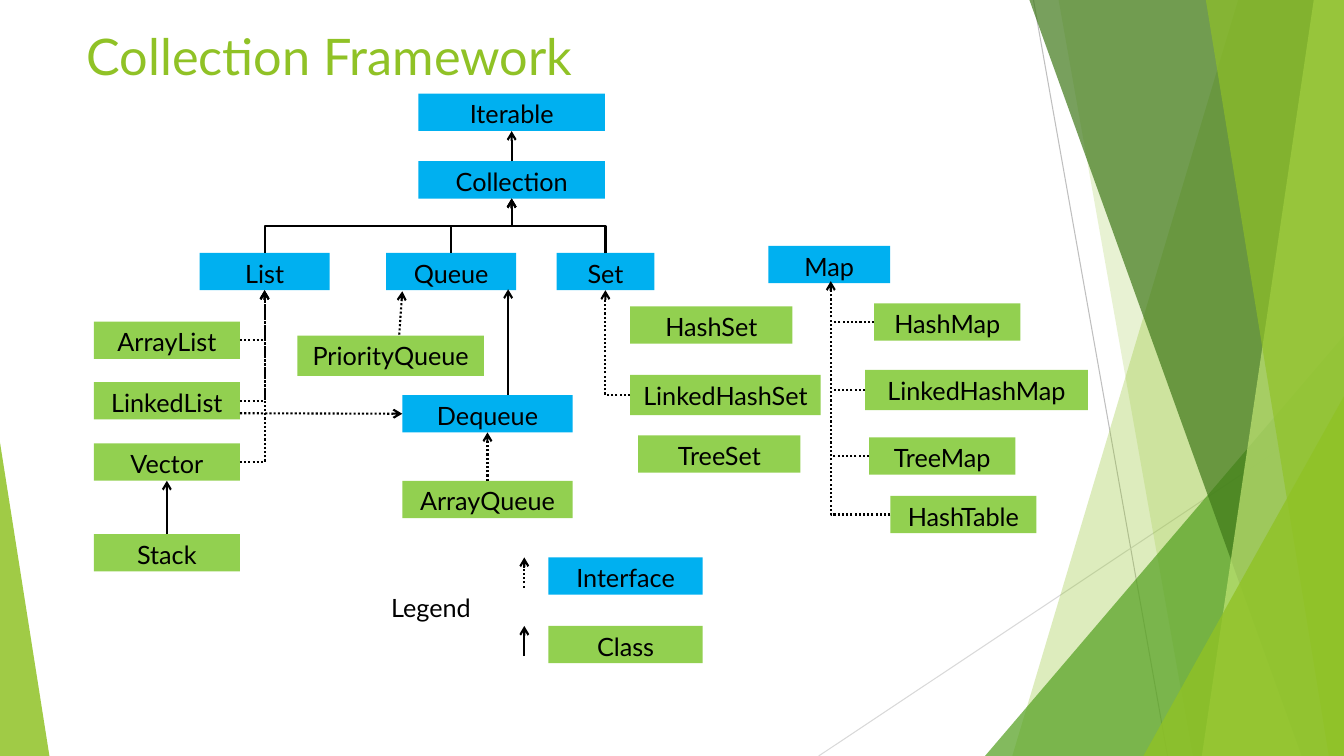
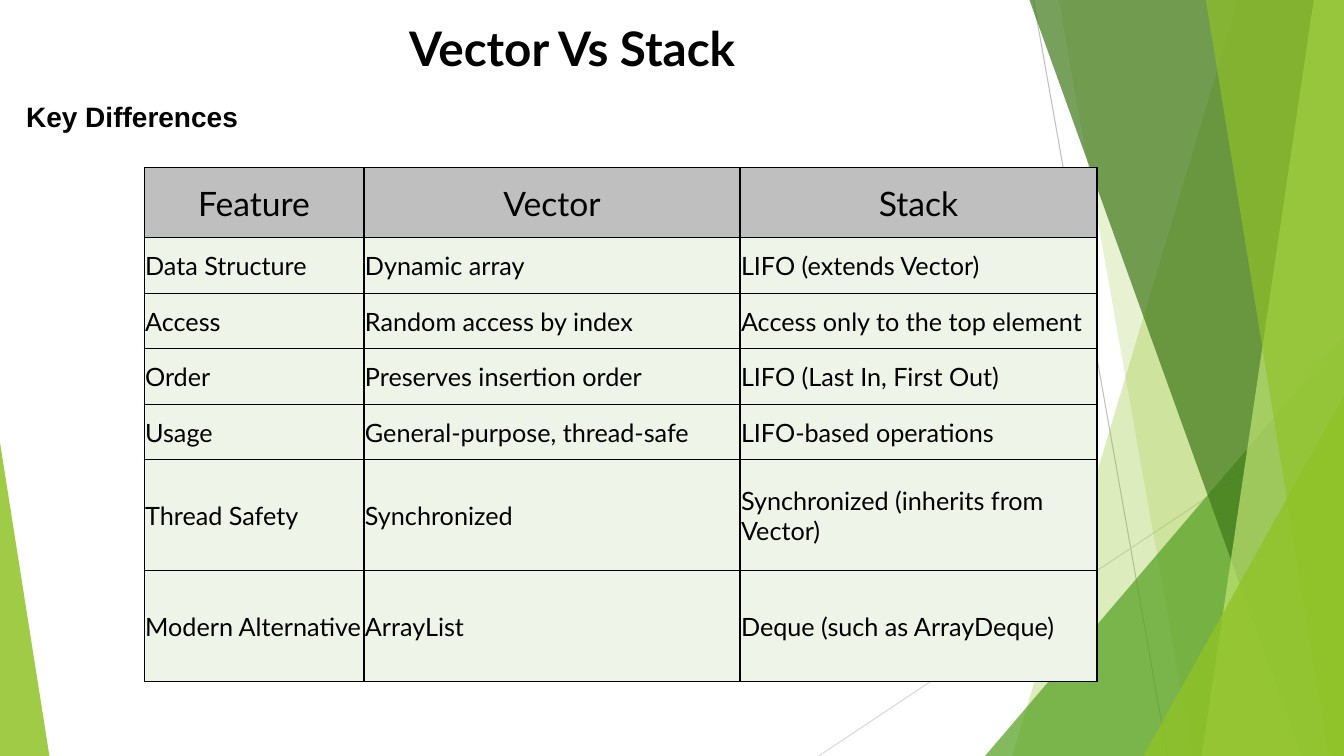
import pptx
import pptx.dml.color
import pptx.enum.dml
import pptx.enum.shapes
import pptx.enum.text
import pptx.oxml.ns
import pptx.util
from lxml import etree

Inches = pptx.util.Inches
RGBColor = pptx.dml.color.RGBColor
Align = pptx.enum.text.PP_ALIGN
Anchor = pptx.enum.text.MSO_ANCHOR
Preset = pptx.enum.shapes.MSO_SHAPE
Connector = pptx.enum.shapes.MSO_CONNECTOR
qn = pptx.oxml.ns.qn

SLIDE_WIDTH, SLIDE_HEIGHT = 13.33, 7.5
FONT = "Lato"
BLACK = RGBColor(0x00, 0x00, 0x00)
LIME = RGBColor(0x90, 0xC2, 0x26)
PALE_LIME = RGBColor(0xC0, 0xE4, 0x74)
LEAF = RGBColor(0x54, 0xA0, 0x21)
FOREST = RGBColor(0x3F, 0x78, 0x19)
GRAY = RGBColor(0xBF, 0xBF, 0xBF)
LIGHT_GRAY = RGBColor(0xD9, 0xD9, 0xD9)
INTERFACE_BLUE = RGBColor(0x00, 0xB0, 0xF0)
CLASS_GREEN = RGBColor(0x92, 0xD0, 0x50)
ROW_GREEN = RGBColor(0xEE, 0xF4, 0xE8)

TOP, LEFT, BOTTOM = 0, 1, 2
BOX_HEIGHT = 0.37

# name: left, top, width and, where it differs, height
INTERFACES = {
    "Iterable": (4.15, 0.93, 1.85),
    "Collection": (4.15, 1.6, 1.85),
    "List": (1.98, 2.51, 1.29),
    "Queue": (3.83, 2.51, 1.29),
    "Set": (5.52, 2.51, 0.97),
    "Map": (7.62, 2.44, 1.21),
    "Dequeue": (3.99, 3.92, 1.69),
    "Interface": (5.44, 5.53, 1.53),
}
CLASSES = {
    "ArrayList": (0.93, 3.19, 1.45),
    "LinkedList": (0.93, 3.79, 1.45),
    "Vector": (0.93, 4.4, 1.45),
    "Stack": (0.93, 5.3, 1.45),
    "PriorityQueue": (2.95, 3.33, 1.85, 0.4),
    "ArrayQueue": (3.99, 4.77, 1.69),
    "HashSet": (6.25, 3.04, 1.61),
    "LinkedHashSet": (6.25, 3.72, 1.89, 0.4),
    "TreeSet": (6.33, 4.32, 1.61),
    "HashMap": (8.67, 3.01, 1.45),
    "LinkedHashMap": (8.58, 3.67, 2.21, 0.4),
    "TreeMap": (8.62, 4.34, 1.45),
    "HashTable": (8.83, 4.92, 1.45),
    "Class": (5.44, 6.21, 1.53),
}

COLUMN_WIDTHS = (2.18, 3.73, 3.54)
ROW_HEIGHTS = (0.7, 0.55, 0.55, 0.55, 0.55, 1.1, 1.1)
COMPARISON = (
    ("Feature", "Vector", "Stack"),
    ("Data Structure", "Dynamic array", "LIFO (extends Vector)"),
    ("Access", "Random access by index", "Access only to the top element"),
    ("Order", "Preserves insertion order", "LIFO (Last In, First Out)"),
    ("Usage", "General-purpose, thread-safe", "LIFO-based operations"),
    ("Thread Safety", "Synchronized", "Synchronized (inherits from Vector)"),
    ("Modern Alternative", "ArrayList", "Deque (such as ArrayDeque)"),
)


def write_text(frame, text, *, size=18, font=FONT, color=BLACK, bold=False,
               alignment=Align.LEFT, wrap=True):
    frame.word_wrap = wrap
    paragraph = frame.paragraphs[0]
    paragraph.alignment = alignment
    run = paragraph.add_run()
    run.text = text
    run.font.size = pptx.util.Pt(size)
    run.font.name = font
    run.font.bold = bold
    run.font.color.rgb = color


def lengths(*values):
    return [Inches(value) for value in values]


def first(element, tag):
    return next(element.iter(qn(tag)))


def paint(shape, color, opacity=100):
    """Fill a shape flat, without outline or shadow."""
    shape.shadow.inherit = False
    shape.line.fill.background()
    shape.fill.solid()
    shape.fill.fore_color.rgb = color
    if opacity < 100:
        alpha = etree.SubElement(first(shape.element, "a:srgbClr"), qn("a:alpha"))
        alpha.set("val", str(opacity * 1000))


def add_line(slide, begin, end, *, kind=Connector.STRAIGHT, color=BLACK, width=1.5,
             dotted=False, arrow=True):
    line = slide.shapes.add_connector(kind, *lengths(*begin, *end))
    line.line.color.rgb = color
    line.line.width = pptx.util.Pt(width)
    if dotted:
        line.line.dash_style = pptx.enum.dml.MSO_LINE.ROUND_DOT
    outline = first(line.element, "a:ln")
    if arrow:
        etree.SubElement(outline, qn("a:tailEnd")).set("type", "arrow")
    etree.SubElement(outline.getparent(), qn("a:effectLst"))
    return line


def add_corner(slide, begin, end):
    """Dotted arrow that runs sideways, then turns once towards its end."""
    line = add_line(slide, begin, end, kind=Connector.ELBOW, dotted=True)
    first(line.element, "a:prstGeom").set("prst", "bentConnector2")


def add_riser(slide, begin, end):
    """Arrow that goes up, across and up again: an elbow turned by 270 degrees."""
    middle_x, middle_y = (begin[0] + end[0]) / 2, (begin[1] + end[1]) / 2
    half_run, half_rise = (end[0] - begin[0]) / 2, (begin[1] - end[1]) / 2
    line = add_line(slide, (middle_x - half_rise, middle_y - half_run),
                    (middle_x + half_rise, middle_y + half_run), kind=Connector.ELBOW)
    first(line.element, "a:xfrm").set("rot", str(270 * 60000))


def add_band(slide, top_x, bottom_x, color, opacity):
    """Slanted band that fills the slide from its left edge to the right side."""
    builder = slide.shapes.build_freeform(*lengths(top_x, 0))
    corners = ((SLIDE_WIDTH, 0), (SLIDE_WIDTH, SLIDE_HEIGHT), (bottom_x, SLIDE_HEIGHT))
    builder.add_line_segments([lengths(*corner) for corner in corners])
    paint(builder.convert_to_shape(), color, opacity)


def add_wedge(slide, left, top, width, apex, color, opacity):
    wedge = slide.shapes.add_shape(
        Preset.ISOSCELES_TRIANGLE, *lengths(left, top, width, SLIDE_HEIGHT - top))
    wedge.adjustments[0] = apex
    paint(wedge, color, opacity)


def draw_backdrop(slide):
    add_line(slide, (10.25, 0), (11.58, 7.5), color=GRAY, width=0.75, arrow=False)
    add_line(slide, (13.33, 4.03), (8.12, 7.5), color=LIGHT_GRAY, width=0.75, arrow=False)
    add_band(slide, 12.28, 10.04, LIME, 30)
    add_band(slide, 10.5, 11.83, LIME, 20)
    add_wedge(slide, 9.77, 3.33, 3.56, 1, LEAF, 72)
    add_band(slide, 10.21, 12.91, FOREST, 70)
    add_band(slide, 13.03, 11.92, PALE_LIME, 70)
    add_band(slide, 11.96, 13.18, LIME, 65)
    add_wedge(slide, 11.34, 3.93, 1.99, 1, LIME, 80)
    add_wedge(slide, 0, 4.39, 0.49, 0, LIME, 85)


def share_backdrop(presentation, slide):
    """Draw the backdrop and move it to the slide master."""
    draw_backdrop(slide)
    backdrop = [shape for shape in slide.shapes if not shape.is_placeholder]
    for number, shape in enumerate(backdrop, start=100):
        first(shape.element, "p:cNvPr").set("id", str(number))
        presentation.slide_master.shapes.element.append(shape.element)


def add_title(slide, text, bounds, **text_format):
    title = slide.shapes.title
    title.left, title.top, title.width, title.height = lengths(*bounds)
    title.text_frame.vertical_anchor = Anchor.TOP
    title.text_frame.auto_size = pptx.enum.text.MSO_AUTO_SIZE.NONE
    write_text(title.text_frame, text, **text_format)


def add_label(slide, text, bounds, anchor=Anchor.TOP, **text_format):
    label = slide.shapes.add_textbox(*lengths(*bounds))
    label.text_frame.vertical_anchor = anchor
    write_text(label.text_frame, text, **text_format)


def add_box(slide, name, color, left, top, width, height=BOX_HEIGHT):
    box = slide.shapes.add_shape(Preset.RECTANGLE, *lengths(left, top, width, height))
    paint(box, color)
    box.text_frame.vertical_anchor = Anchor.TOP
    write_text(box.text_frame, name, alignment=Align.CENTER)
    return box


def side_middle(box, side):
    x, y = box.left, box.top
    if side == LEFT:
        y += box.height / 2
    else:
        x += box.width / 2
        y += box.height if side == BOTTOM else 0
    return x / Inches(1), y / Inches(1)


def join_up(slide, lower, upper, dotted=False):
    line = add_line(slide, side_middle(lower, TOP), side_middle(upper, BOTTOM), dotted=dotted)
    line.begin_connect(lower, TOP)
    line.end_connect(upper, BOTTOM)


def draw_framework(slide):
    boxes = {}
    for group, color in ((INTERFACES, INTERFACE_BLUE), (CLASSES, CLASS_GREEN)):
        for name, bounds in group.items():
            boxes[name] = add_box(slide, name, color, *bounds)

    join_up(slide, boxes["Collection"], boxes["Iterable"])
    join_up(slide, boxes["Stack"], boxes["Vector"])
    join_up(slide, boxes["ArrayQueue"], boxes["Dequeue"], dotted=True)
    for name in ("List", "Queue", "Set"):
        add_riser(slide, side_middle(boxes[name], TOP),
                  side_middle(boxes["Collection"], BOTTOM))

    for name in ("ArrayList", "LinkedList", "Vector"):
        left, top, width = CLASSES[name]
        add_corner(slide, (left + width, top + BOX_HEIGHT / 2),
                   side_middle(boxes["List"], BOTTOM))
    add_corner(slide, side_middle(boxes["LinkedHashSet"], LEFT),
               side_middle(boxes["Set"], BOTTOM))
    add_corner(slide, side_middle(boxes["HashTable"], LEFT), (8.24, 2.79))
    for name in ("HashMap", "LinkedHashMap", "TreeMap"):
        begin = side_middle(boxes[name], LEFT)
        branch = add_line(slide, begin, (8.26, begin[1]), dotted=True, arrow=False)
        branch.begin_connect(boxes[name], LEFT)

    add_line(slide, (3.96, 3.32), (3.99, 2.89), dotted=True)
    add_line(slide, (5.04, 3.92), (5.04, 2.87))
    link = add_line(slide, (2.38, 4.1), side_middle(boxes["Dequeue"], LEFT), dotted=True)
    link.end_connect(boxes["Dequeue"], LEFT)

    add_label(slide, "Legend", (3.67, 5.83, 1.21, BOX_HEIGHT), alignment=Align.CENTER)
    add_line(slide, (5.2, 5.83), (5.2, 5.53), dotted=True)
    add_line(slide, (5.2, 6.51), (5.2, 6.21))


def add_cell_borders(cell):
    properties = cell._tc.get_or_add_tcPr()
    for index, tag in enumerate(("a:lnL", "a:lnR", "a:lnT", "a:lnB")):
        border = etree.Element(qn(tag), w=str(pptx.util.Pt(1)))
        fill = etree.SubElement(border, qn("a:solidFill"))
        etree.SubElement(fill, qn("a:srgbClr")).set("val", str(BLACK))
        properties.insert(index, border)


def draw_comparison(slide):
    table = slide.shapes.add_table(
        len(COMPARISON), len(COLUMN_WIDTHS),
        *lengths(1.43, 1.66, sum(COLUMN_WIDTHS), sum(ROW_HEIGHTS))).table
    for column, width in zip(table.columns, COLUMN_WIDTHS):
        column.width = Inches(width)
    for row_index, texts in enumerate(COMPARISON):
        table.rows[row_index].height = Inches(ROW_HEIGHTS[row_index])
        header = row_index == 0
        for column_index, text in enumerate(texts):
            cell = table.cell(row_index, column_index)
            cell.fill.solid()
            cell.fill.fore_color.rgb = GRAY if header else ROW_GREEN
            cell.vertical_anchor = Anchor.MIDDLE
            cell.margin_left = cell.margin_right = cell.margin_top = Inches(0.01)
            cell.margin_bottom = 0
            write_text(cell.text_frame, text, size=24 if header else 18,
                       alignment=Align.CENTER if header else Align.LEFT)
            add_cell_borders(cell)


def main():
    presentation = pptx.Presentation()
    presentation.slide_width, presentation.slide_height = lengths(SLIDE_WIDTH, SLIDE_HEIGHT)
    title_only = presentation.slide_layouts[5]

    framework = presentation.slides.add_slide(title_only)
    share_backdrop(presentation, framework)
    add_title(framework, "Collection Framework", (0.76, 0.2, 9.4, 0.85), size=36, color=LIME)
    draw_framework(framework)

    comparison = presentation.slides.add_slide(title_only)
    add_title(comparison, "Vector Vs Stack", (1.43, 0.14, 8.49, 0.79), size=34, bold=True,
              alignment=Align.CENTER)
    add_label(comparison, "Key Differences", (0.16, 0.93, 2.32, 0.45), Anchor.MIDDLE,
              size=20, font="Arial", bold=True, wrap=False)
    draw_comparison(comparison)

    presentation.save("out.pptx")


if __name__ == "__main__":
    main()
